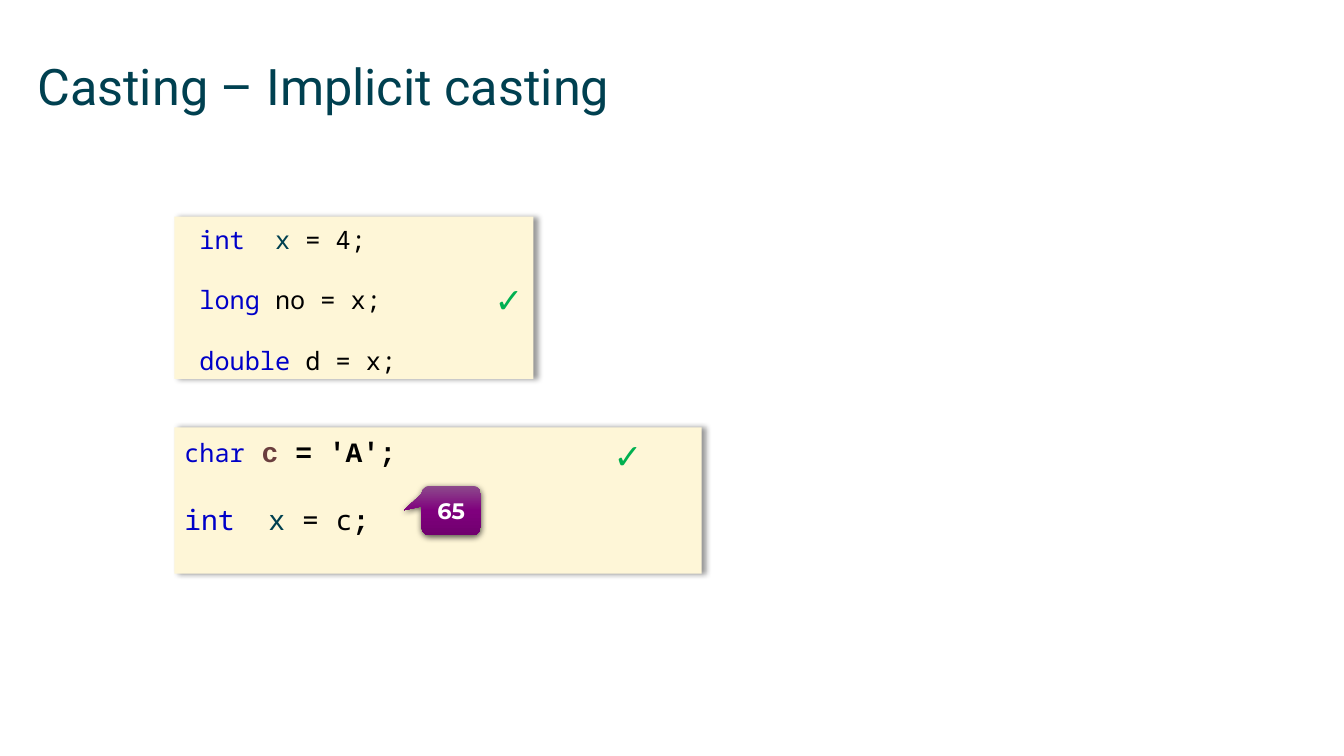
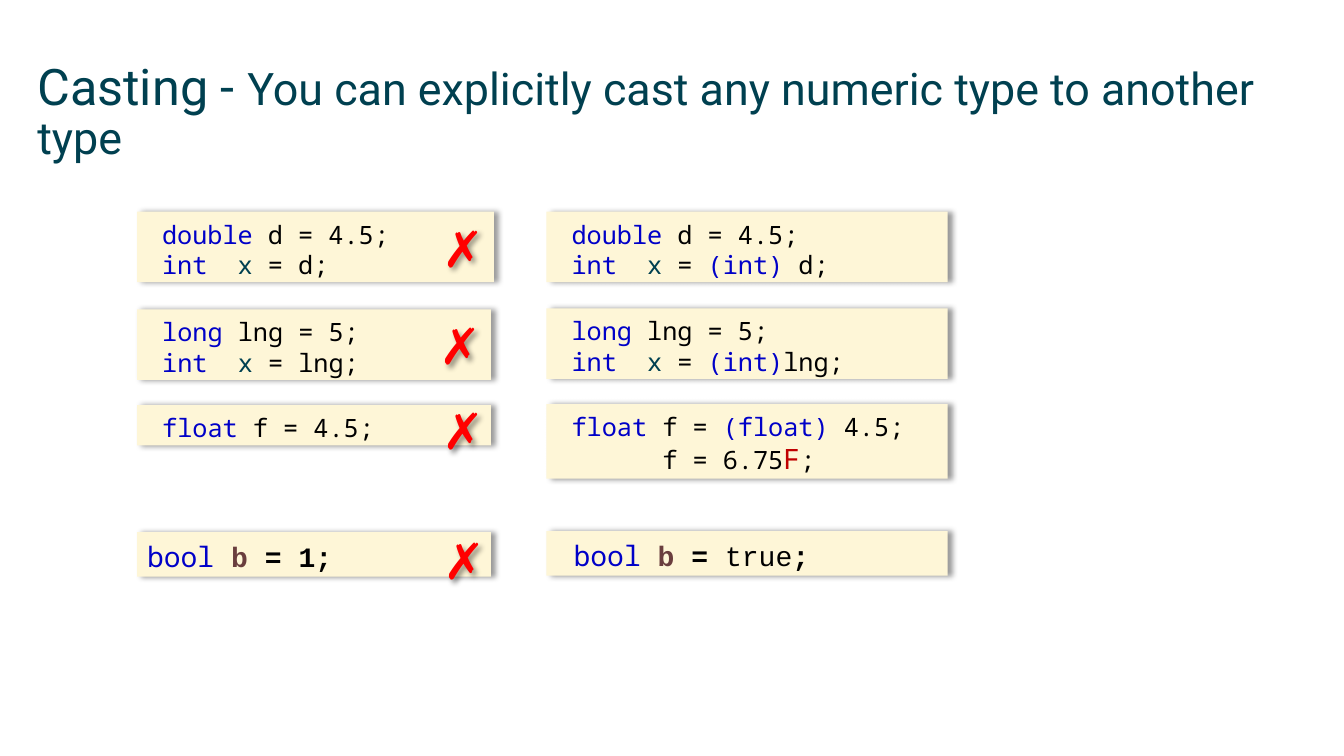
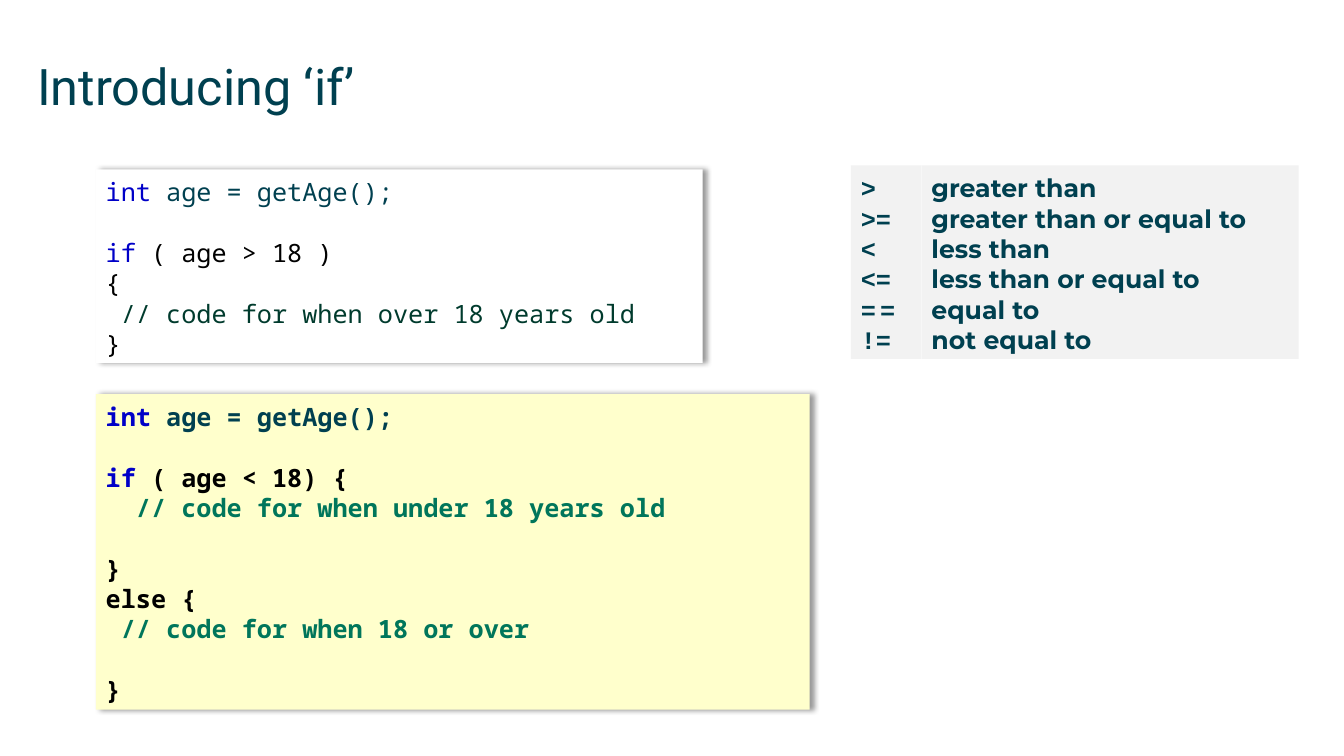
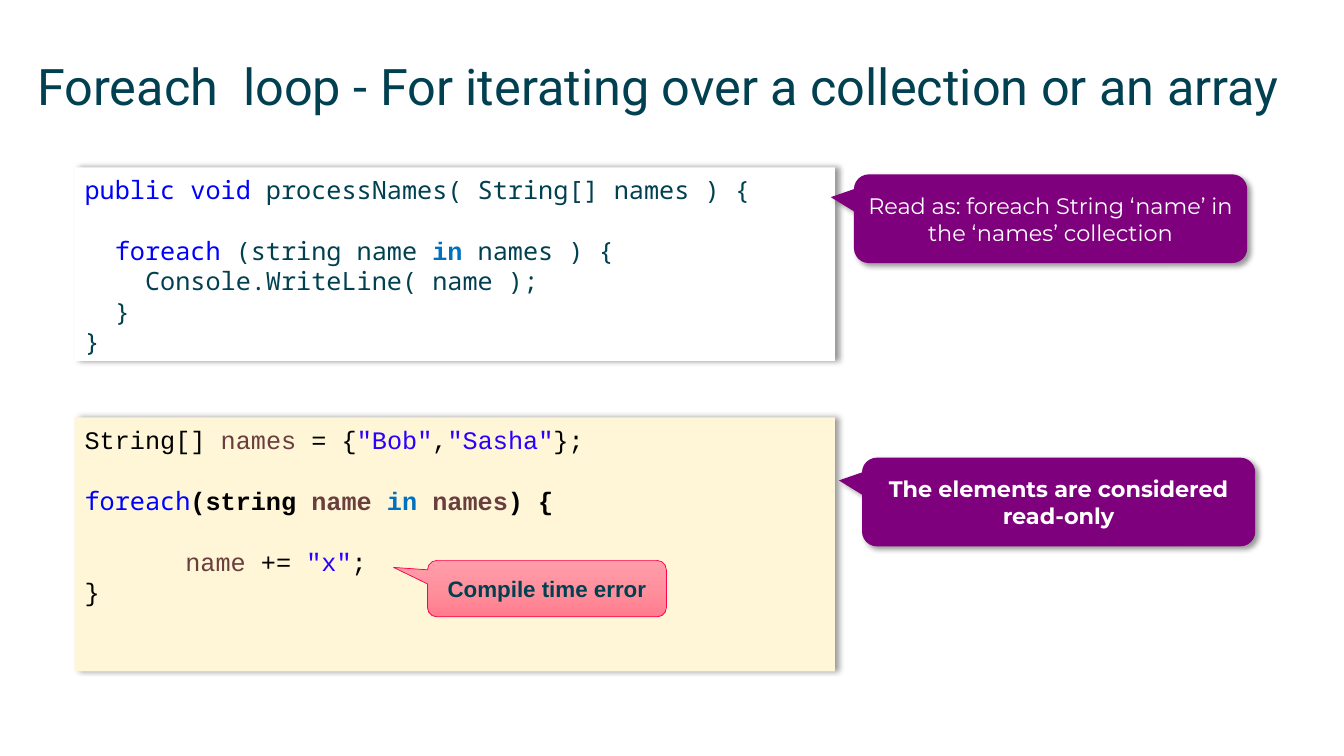
from functools import partial

from pptx import Presentation
from pptx.dml.color import RGBColor
from pptx.enum.shapes import MSO_SHAPE as Preset
from pptx.enum.text import MSO_ANCHOR as Anchor, MSO_AUTO_SIZE as AutoSize, PP_ALIGN as Align
from pptx.oxml import parse_xml
from pptx.oxml.ns import nsdecls, qn
from pptx.util import Emu, Pt

EMU_PER_PX = 9144  # 100 px to the inch
LEADING = 1.205

MONO, COURIER, HEADING, BODY = "Noto Sans Mono", "Courier New", "Roboto", "Montserrat"
TEAL, BLACK, WHITE = "004050", "000000", "FFFFFF"
CREAM, YELLOW, GREY, PURPLE = "FEF6D7", "FFFFCC", "F2F2F2", "7F007D"
NAVY, BLUE, SKY, VIOLET, BROWN = "0000C8", "0000FF", "0070C0", "2A00FF", "6A3E3E"
PURPLE_FADE = ("8D4B8C", PURPLE, "71006F")
PINK_FADE = ("FF9EAB", "FF909D", "FF7C8D")

# opacity %, blur pt, distance pt, direction in degrees
BOX_SHADOW = (40, 4, 3, 0)
CALLOUT_SHADOW = (40, 4, 3, 45)
BADGE_SHADOW = (63, 4.5, 1.5, 90)


def px(length):
    return Emu(length * EMU_PER_PX)


def rgb(value):
    return RGBColor.from_string(value)


def span(text, **style):
    """Pair a piece of text with its format: size, font, color, bold."""
    return text, style


def line(*spans, indent=0, gap=0):
    """Describe one paragraph; indent is in px, gap in lines above it."""
    return spans, indent, gap


keyword = partial(span, color=NAVY)
keyword_blue = partial(span, color=BLUE)
teal = partial(span, color=TEAL)
string = partial(span, color=VIOLET)
variable = partial(span, color=BROWN, font=COURIER, bold=True)
strong = partial(span, font=COURIER, bold=True)


class Deck:
    def __init__(self):
        self.prs = Presentation()
        self.prs.slide_width, self.prs.slide_height = px(1333), px(750)
        self.slide = None

    def set_text(self, frame, lines, align=Align.LEFT, leading=None, **defaults):
        base = dict(size=18, font=MONO, color=BLACK, bold=False) | defaults
        for index, (spans, indent, gap) in enumerate(lines):
            para = frame.add_paragraph() if index else frame.paragraphs[0]
            para.alignment = align
            styles = [base | style for _, style in spans]
            if leading:
                pitch = leading * max(style["size"] for style in styles)
                para.line_spacing = Pt(pitch)
                para.space_before = Pt(pitch * gap)
            if indent:
                para._p.get_or_add_pPr().set("marL", str(px(indent)))
            for (text, _), style in zip(spans, styles):
                run = para.add_run()
                run.text = text
                run.font.size = Pt(style["size"])
                run.font.name = style["font"]
                run.font.bold = style["bold"]
                run.font.color.rgb = rgb(style["color"])

    def new_slide(self, *title_spans):
        self.slide = self.prs.slides.add_slide(self.prs.slide_layouts[5])
        title = self.slide.shapes.title
        title.left, title.top, title.width, title.height = map(px, (37, 61, 1260, 88))
        frame = title.text_frame
        frame.auto_size, frame.vertical_anchor = AutoSize.NONE, Anchor.TOP
        frame.margin_left = frame.margin_top = frame.margin_right = frame.margin_bottom = 0
        self.set_text(frame, [line(*title_spans)], size=36, font=HEADING, color=TEAL)
        frame.paragraphs[0].line_spacing = 0.9

    def shade(self, shape, shadow):
        shape.shadow.inherit = False
        if shadow:
            opacity, blur, distance, angle = shadow
            effects = shape._element.spPr.find(qn("a:effectLst"))
            effects.append(parse_xml(
                f'<a:outerShdw {nsdecls("a")} blurRad="{Pt(blur)}" dist="{Pt(distance)}" '
                f'dir="{angle * 60000}" algn="tl" rotWithShape="0"><a:srgbClr val="{BLACK}">'
                f'<a:alpha val="{opacity * 1000}"/></a:srgbClr></a:outerShdw>'))

    def fade(self, shape, colors):
        """Fill from top to bottom with evenly spaced colours."""
        shape.fill.gradient()
        shape.fill.gradient_angle = 270
        stops = shape._element.spPr.find(qn("a:gradFill")).find(qn("a:gsLst"))
        for stop in list(stops):
            stops.remove(stop)
        for index, color in enumerate(colors):
            position = index * 100000 // (len(colors) - 1)
            stops.append(parse_xml(f'<a:gs {nsdecls("a")} pos="{position}">'
                                   f'<a:srgbClr val="{color}"/></a:gs>'))

    def panel(self, preset, at, fill, shadow, border=None):
        shape = self.slide.shapes.add_shape(preset, *map(px, at))
        if isinstance(fill, tuple):
            self.fade(shape, fill)
        else:
            shape.fill.solid()
            shape.fill.fore_color.rgb = rgb(fill)
        if border:
            shape.line.color.rgb = rgb(border)
            shape.line.width = Pt(0.5)
        else:
            shape.line.fill.background()
        self.shade(shape, shadow)
        shape.text_frame.word_wrap = True
        return shape

    def code(self, at, *lines, fill=CREAM, shadow=BOX_SHADOW, **defaults):
        frame = self.panel(Preset.RECTANGLE, at, fill, shadow).text_frame
        frame.vertical_anchor = Anchor.TOP
        frame.margin_top = px(7)
        self.set_text(frame, lines, leading=LEADING, **defaults)

    def callout(self, at, tip, *texts, fill=PURPLE, shadow=CALLOUT_SHADOW, border=None, **style):
        shape = self.panel(Preset.ROUNDED_RECTANGULAR_CALLOUT, at, fill, shadow, border)
        for index, value in enumerate((*tip, 0.167)):
            shape.adjustments[index] = value
        shape.text_frame.vertical_anchor = Anchor.MIDDLE
        self.set_text(shape.text_frame, [line(span(text)) for text in texts], align=Align.CENTER,
                      **(dict(size=16, font=BODY, color=WHITE) | style))

    def mark(self, at, symbol, shadow=None, **style):
        box = self.slide.shapes.add_textbox(*map(px, at))
        box.text_frame.word_wrap = False
        self.shade(box, shadow)
        self.set_text(box.text_frame, [line(span(symbol))], font=COURIER, **style)

    def tick(self, left, top):
        self.mark((left, top, 51, 57), "✓", size=28, color="00B050", bold=True)

    def cross(self, left, top):
        self.mark((left, top, 59, 84), "✗", CALLOUT_SHADOW, size=44, color="FF0000")


def implicit_casting(deck):
    deck.new_slide(span("Casting – Implicit casting"))
    deck.code((173, 215, 356, 161),
              line(keyword("int"), teal("  x"), span(" = 4;"), indent=15),
              line(keyword("long "), span("no = x;"), indent=15, gap=1),
              line(keyword("double "), span("d = x;"), indent=15, gap=1))
    deck.tick(483, 267)
    deck.code((173, 424, 523, 145),
              line(keyword("char", size=18), strong(" "), variable("c"), strong(" = 'A';")),
              line(keyword("int"), teal("  x"), span(" = c"), strong(";"), gap=1),
              size=20)
    deck.tick(601, 422)
    deck.callout((418, 482, 59, 49), (-0.797, -0.007), "65",
                 fill=PURPLE_FADE, shadow=BADGE_SHADOW, bold=True)


def explicit_casting(deck):
    deck.new_slide(span("Casting - "),
                   span("You can explicitly cast any numeric type to another type", size=32))
    declare_double = line(keyword("double "), span("d = 4.5;"), indent=15)
    declare_long = line(keyword("long "), span("lng = 5;"), indent=15)
    int_x = (keyword("int"), teal("  x"), span(" = "))
    left, right, width = 136, 542, 398

    deck.code((left, 210, 354, 70), declare_double, line(*int_x, span("d;"), indent=15))
    deck.code((left, 307, 351, 70), declare_long, line(*int_x, span("lng;"), indent=15))
    deck.code((left, 402, 351, 40), line(keyword("float "), span("f = 4.5;"), indent=15))
    deck.code((left, 528, 351, 44),
              line(keyword("bool "), variable("b"), strong(" = 1;")), size=20)
    for cross_left, cross_top in ((431, 199), (428, 296), (431, 380), (432, 509)):
        deck.cross(cross_left, cross_top)

    deck.code((right, 210, width, 70), declare_double,
              line(*int_x, keyword("(int) "), span("d;"), indent=15))
    deck.code((right, 306, width, 70), declare_long,
              line(*int_x, keyword("(int)"), span("lng;"), indent=15))
    deck.code((right, 401, width, 74),
              line(keyword("float "), span("f = "), keyword("(float) "), span("4.5;"), indent=15),
              line(span("f = 6.75"), span("F", size=20, color="C00000"), span(";"), indent=105))
    deck.code((right, 527, width, 44),
              line(keyword("bool "), variable("b"), strong(" = "),
                   span("true", font=COURIER), strong(";"), indent=17), size=20)


def introducing_if(deck):
    deck.new_slide(span("Introducing ‘if’"))
    get_age = line(keyword("int "), teal("age = getAge();"))
    deck.code((95, 168, 602, 192),
              get_age,
              line(keyword("if "), span("( age > 18 )"), gap=1),
              line(span("{")),
              line(span("// code for when over 18 years old", color="003B2D"), indent=15),
              line(span("}")),
              fill=WHITE)
    comment = partial(span, color="00765B")
    deck.code((95, 391, 708, 313),
              get_age,
              line(keyword("if "), span("( age < 18) {"), gap=1),
              line(comment("// code for when under 18 years old"), indent=30),
              line(span("}"), gap=1),
              line(span("else {")),
              line(comment("// code for when 18 or over"), indent=15),
              line(span("}"), gap=1),
              fill=YELLOW, bold=True)

    operators = {
        ">": "greater than",
        ">=": "greater than or equal to",
        "<": "less than",
        "<=": "less than or equal to",
        "==": "equal to",
        "!=": "not equal to",
    }
    spaced_equals = line(span("="), span(" ", size=5), span("="))
    symbols = [spaced_equals if symbol == "==" else line(span(symbol)) for symbol in operators]
    meanings = [line(span(meaning)) for meaning in operators.values()]
    for left, width, lines, font in ((844, 70, symbols, COURIER), (914, 374, meanings, BODY)):
        deck.code((left, 164, width, 192), *lines, fill=GREY, shadow=None,
                  font=font, color=TEAL, bold=True)


def foreach_loop(deck):
    deck.new_slide(span("Foreach  loop - For iterating over a collection or an array"))
    deck.code((74, 166, 754, 192),
              line(keyword_blue("public void "), span("processNames( String[] names ) {")),
              line(keyword_blue("foreach"), span(" (string name "), strong("in", color=SKY),
                   span(" names ) {"), indent=30, gap=1),
              line(span("Console.WriteLine( name );"), indent=60),
              line(span("}"), indent=30),
              line(span("}")),
              fill=WHITE, color=TEAL)
    light_variable = partial(variable, bold=False)
    deck.code((74, 414, 754, 252),
              line(span("String[] "), light_variable("names"), span(" = {"), string('"Bob"'),
                   span(","), string('"Sasha"'), span("};")),
              line(keyword_blue("foreach", font=MONO), strong("(string "), variable("name "),
                   strong("in ", color=SKY), variable("names"), strong(") {"), gap=1),
              line(light_variable("name"), span(" += "), string('"x"'), span(";"),
                   indent=100, gap=1),
              line(span("}")),
              font=COURIER)
    side_tip = (-0.559, -0.243)
    deck.callout((847, 173, 390, 88), side_tip,
                 "Read as: foreach String ‘name’ in the ‘names’ collection")
    deck.callout((855, 454, 390, 88), side_tip,
                 "The elements are considered", "read-only", bold=True)
    deck.callout((424, 556, 237, 56), (-0.642, -0.375), "Compile time error",
                 fill=PINK_FADE, shadow=None, border="FF004C",
                 font="Arial", color=TEAL, bold=True)


def main():
    deck = Deck()
    for build in (implicit_casting, explicit_casting, introducing_if, foreach_loop):
        build(deck)
    deck.prs.save("out.pptx")


if __name__ == "__main__":
    main()
